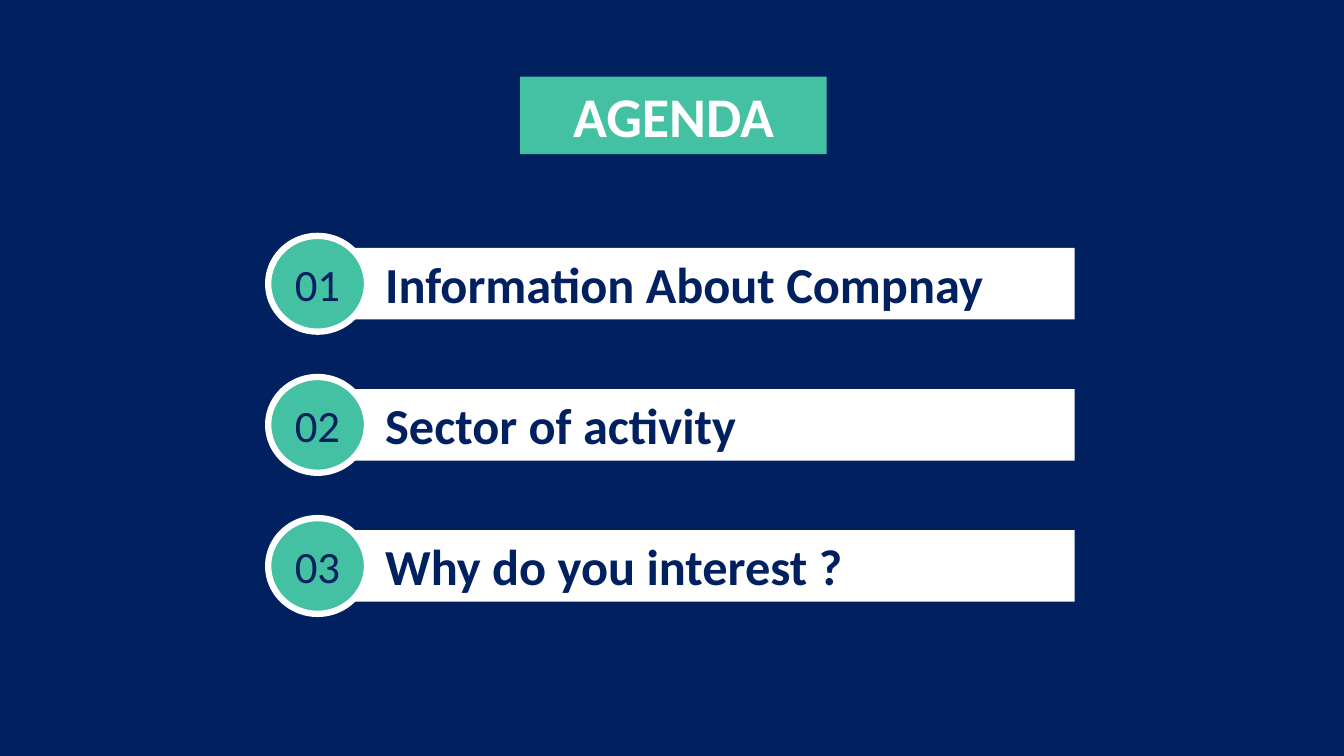
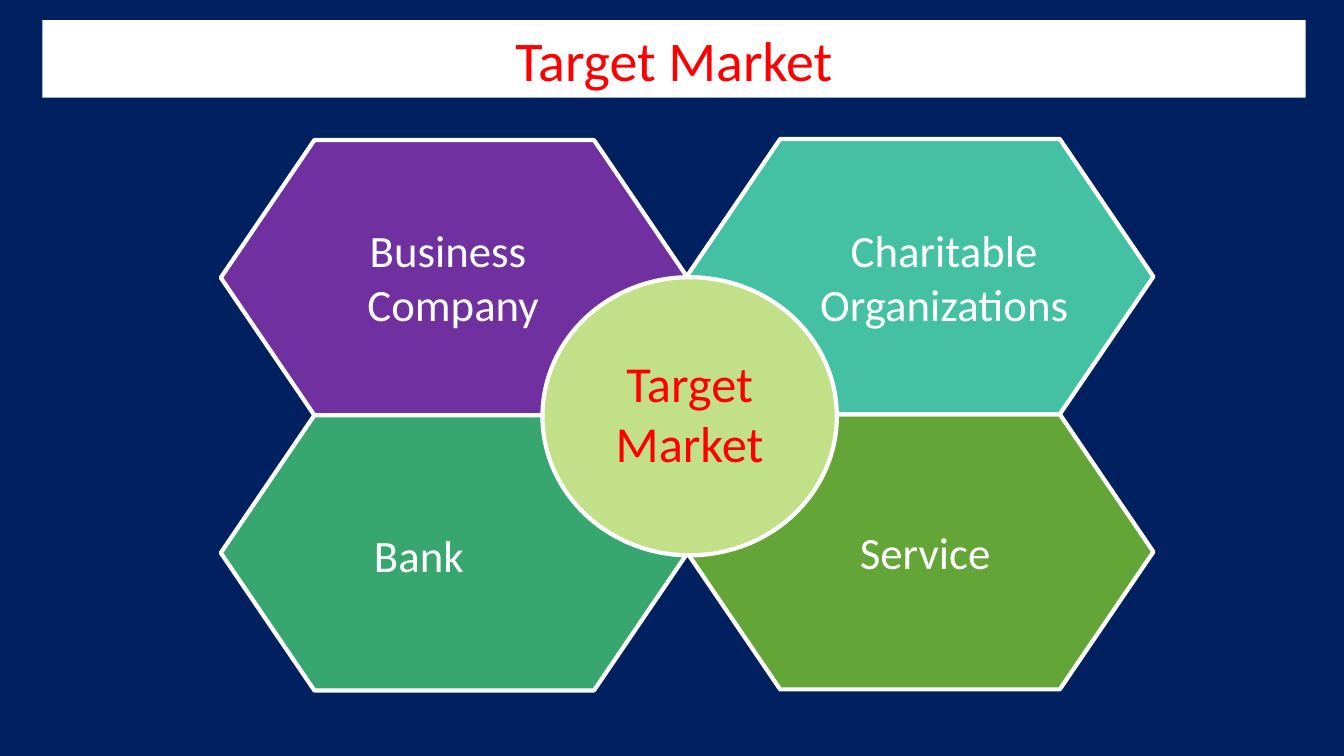
import pptx
import pptx.util
import pptx.dml.color
import pptx.enum.shapes
import pptx.enum.text

Inches = pptx.util.Inches
KIND = pptx.enum.shapes.MSO_SHAPE
ALIGN = pptx.enum.text.PP_ALIGN
ANCHOR = pptx.enum.text.MSO_ANCHOR

# Content
AGENDA = ["Information About Compnay", "Sector of activity", "Why do you interest ?"]
MARKET = "Target Market"
# column, row, fill, label, label box, alignment
CELLS = [
    (0, 0, "purple", "Business \nCompany", (3.46, 2.16, 2.07, 1.18), ALIGN.CENTER),
    (0, 1, "green", "Bank", (3.12, 5.19, 2.07, 0.64), ALIGN.CENTER),
    (1, 1, "leaf", "Service", (8.43, 5.16, 1.87, 0.64), ALIGN.LEFT),
    (1, 0, "teal", "Charitable\u0020Organizations", (7.98, 2.16, 2.77, 1.18), ALIGN.CENTER),
]

# Theme
THEME = {
    "font": "Calibri",
    "color": {
        "navy": "002060", "white": "FFFFFF", "teal": "44C1A3", "red": "FF0000",
        "purple": "7030A0", "green": "37A76F", "leaf": "63A537", "lime": "C2E088",
    },
    "size": {"title": 40, "head": 36, "body": 32},
}


def tint(name):
    return pptx.dml.color.RGBColor.from_string(THEME["color"][name])


def assign(target, **values):
    for name, value in values.items():
        setattr(target, name, value)


# Shared parts
def new_slide(deck):
    slide = deck.slides.add_slide(deck.slide_layouts[6])
    slide.background.fill.solid()
    slide.background.fill.fore_color.rgb = tint("navy")
    return slide


def write(shape, text, size, color, bold=False, align=ALIGN.CENTER,
          anchor=ANCHOR.TOP, inset=0.1):
    frame = shape.text_frame
    assign(frame, text=text, word_wrap=True, vertical_anchor=anchor,
           margin_left=Inches(inset))
    for para in frame.paragraphs:
        para.alignment = align
        for run in para.runs:
            assign(run.font, name=THEME["font"], bold=bold,
                   size=pptx.util.Pt(THEME["size"][size]))
            run.font.color.rgb = tint(color)


def draw(slide, kind, box, fill, edge=0):
    shape = slide.shapes.add_shape(kind, *map(Inches, box))
    shape.shadow.inherit = False
    shape.fill.solid()
    shape.fill.fore_color.rgb = tint(fill)
    if edge:
        shape.line.color.rgb = tint("white")
        shape.line.width = pptx.util.Pt(edge)
    else:
        shape.line.fill.background()
    return shape


def label(slide, box, *args, **style):
    write(slide.shapes.add_textbox(*map(Inches, box)), *args, **style)


def title(slide, text, box, fill, color, bold=False):
    write(draw(slide, KIND.RECTANGLE, box, fill), text, "title", color, bold)


# Slides
def agenda(deck):
    slide = new_slide(deck)
    title(slide, "AGENDA", (5.16, 0.76, 3.04, 0.77), "teal", "white", bold=True)
    for row, text in enumerate(AGENDA):
        top = 2.34 + 1.4 * row
        bar = draw(slide, KIND.RECTANGLE, (3.5, top + 0.12, 7.16, 0.71), "white")
        write(bar, text, "head", "navy", bold=True, align=ALIGN.LEFT, inset=0.32)
        badge = draw(slide, KIND.FLOWCHART_CONNECTOR, (2.66, top, 0.98, 0.95),
                     "teal", edge=4.5)
        write(badge, f"{row + 1:02}", "body", "navy", anchor=ANCHOR.MIDDLE)


def market(deck):
    slide = new_slide(deck)
    for col, row, fill, *_ in CELLS:
        box = (2.19 + 4.62 * col, 1.39 - 0.01 * col + 2.73 * row, 4.63, 2.73)
        cell = draw(slide, KIND.HEXAGON, box, fill, edge=3)
        cell.adjustments[0] = 0.34
    draw(slide, KIND.FLOWCHART_CONNECTOR, (5.38, 2.75, 2.92, 2.76), "lime", edge=3)
    label(slide, (5.92, 3.44, 1.84, 1.31), MARKET, "head", "red")
    for *_, text, box, align in CELLS:
        label(slide, box, text, "body", "white", align=align)
    title(slide, MARKET, (0.42, 0.2, 12.53, 0.77), "white", "red")


def main():
    deck = pptx.Presentation()
    assign(deck, slide_width=Inches(13.33), slide_height=Inches(7.5))
    agenda(deck)
    market(deck)
    deck.save("out.pptx")


if __name__ == "__main__":
    main()
